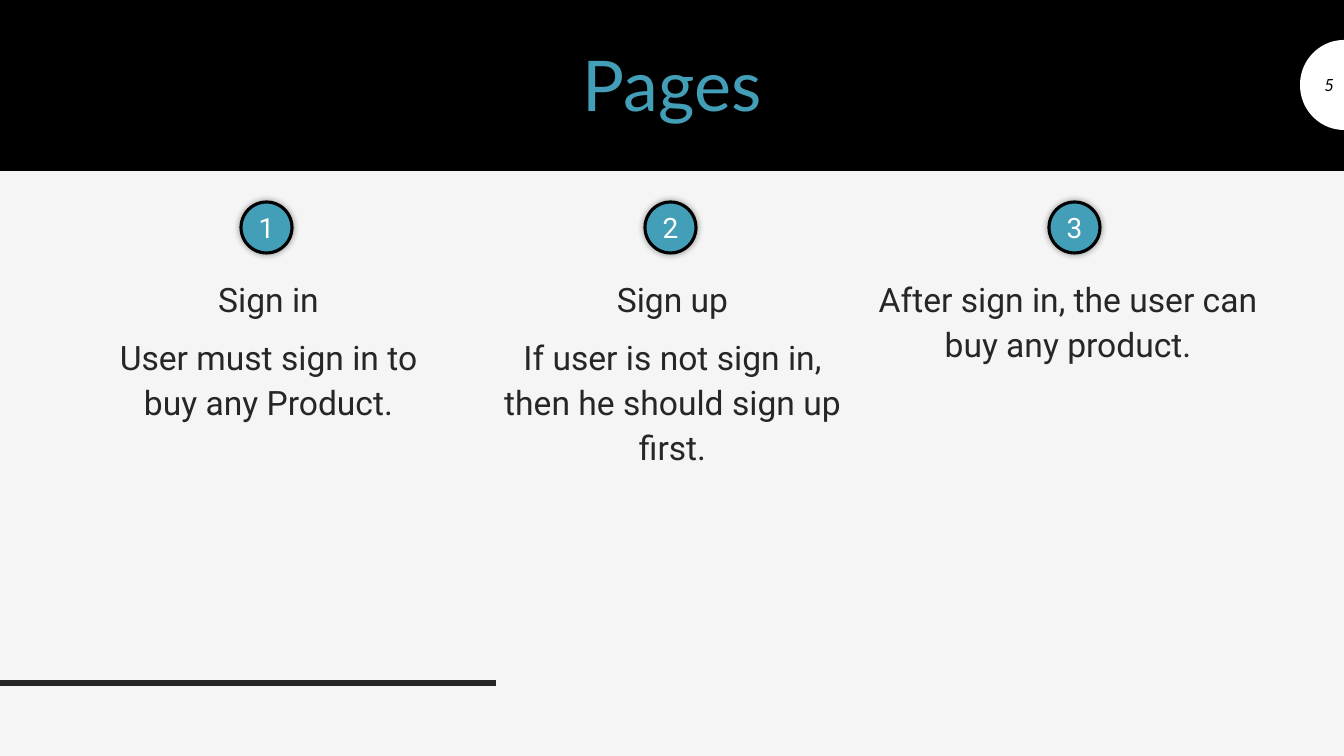
import math

from lxml import etree
from pptx import Presentation
from pptx import util as u
from pptx.dml.color import RGBColor
from pptx.enum import shapes, text
from pptx.oxml import ns

PX = 12700 * 5 / 7  # 100.8 px to the inch
WIDTH, HEIGHT = 1344, 756
BLACK, WHITE, TEAL, DARK, PALE = "000000", "FFFFFF", "439EB7", "262626", "F5F5F5"
HEADING, BODY = "Lato", "Roboto"
CENTER, RIGHT = text.PP_ALIGN.CENTER, text.PP_ALIGN.RIGHT
TOP, MIDDLE = text.MSO_ANCHOR.TOP, text.MSO_ANCHOR.MIDDLE


def px(*lengths):
    return [u.Emu(round(length * PX)) for length in lengths]


def color(value):
    return RGBColor.from_string(value)


def paint(shape, fill, line=None, width=1):
    shape.shadow.inherit = False
    shape.fill.solid()
    shape.fill.fore_color.rgb = color(fill)
    if line:
        shape.line.color.rgb = color(line)
        shape.line.width = u.Pt(width)
    else:
        shape.line.fill.background()


def add_glow(shape):
    """Soft, centred black shadow."""
    effects = shape._element.spPr.find(ns.qn("a:effectLst"))
    shadow = etree.SubElement(effects, ns.qn("a:outerShdw"),
                              blurRad=str(u.Pt(5)), dist="0", dir="0",
                              algn="ctr", rotWithShape="0")
    tint = etree.SubElement(shadow, ns.qn("a:srgbClr"), val=BLACK)
    etree.SubElement(tint, ns.qn("a:alpha"), val="40000")


def write(frame, lines, size, font, ink, align=CENTER, anchor=MIDDLE,
          spacing=1.0, before=0, italic=False):
    frame.word_wrap = True
    frame.vertical_anchor = anchor
    for index, line in enumerate(lines):
        para = frame.add_paragraph() if index else frame.paragraphs[0]
        para.alignment = align
        para.line_spacing = spacing
        if index:
            para.space_before = u.Pt(before)
        span = para.add_run()
        span.text = line
        span.font.size = u.Pt(size)
        span.font.name = font
        span.font.italic = italic
        span.font.color.rgb = color(ink)


def add_header(page, box, title):
    left, top, width, height = box
    band = page.shapes.add_shape(shapes.MSO_SHAPE.RECTANGLE, *px(*box))
    paint(band, BLACK, BLACK)
    label = page.shapes.add_textbox(
        *px(left + 84, top + 33, width - 168, height - 59))
    write(label.text_frame, [title], 50, HEADING, TEAL, spacing=0.9)


def add_page_number(page, box, number):
    """Half disc bulging to the left, with the number on it."""
    left, top, width, height = box
    angles = [math.radians(degrees) for degrees in range(90, 271, 5)]
    points = [px(left + width + width * math.cos(angle),
                 top + height / 2 + height / 2 * math.sin(angle))
              for angle in angles]
    builder = page.shapes.build_freeform(*points[0])
    builder.add_line_segments(points[1:], close=True)
    paint(builder.convert_to_shape(), WHITE)
    label = page.shapes.add_textbox(*px(left, top + 25, width, height - 50))
    write(label.text_frame, [number], 12, HEADING, BLACK, RIGHT, italic=True)


def add_step(page, box, badge_left, number, lines):
    """Numbered badge above a column of centred text."""
    left, top, width, height = box
    badge = page.shapes.add_shape(shapes.MSO_SHAPE.OVAL,
                                  *px(badge_left, top, 51, 51))
    paint(badge, TEAL, BLACK, 2.25)
    add_glow(badge)
    frame = badge.text_frame
    frame.margin_left = frame.margin_right = 0
    frame.margin_top = frame.margin_bottom = 0
    write(frame, [str(number)], 20, BODY, WHITE)
    column = page.shapes.add_textbox(*px(left, top + 67, width, height - 67))
    write(column.text_frame, lines, 24, BODY, DARK, anchor=TOP,
          spacing=1.12, before=9)


def add_footer_rule(page, box):
    left, top, width, height = box
    rule = page.shapes.add_connector(
        shapes.MSO_CONNECTOR.STRAIGHT,
        *px(left, top + height / 2, left + width, top + height / 2))
    rule.line.color.rgb = color(DARK)
    rule.line.width = u.Pt(4.5)
    etree.SubElement(rule._element.spPr, ns.qn("a:effectLst"))


def main():
    deck = Presentation()
    deck.slide_width, deck.slide_height = px(WIDTH, HEIGHT)
    page = deck.slides.add_slide(deck.slide_layouts[6])
    page.background.fill.solid()
    page.background.fill.fore_color.rgb = color(PALE)

    add_footer_rule(page, (0, 680, 496, 6))
    add_header(page, (0, 0, WIDTH, 170), "Pages")
    steps = [
        (84, 369, ["Sign in", "User must sign in to buy any Product."]),
        (488, 369, ["Sign up", "If user is not sign in, "
                    "then he should sign up first."]),
        (848, 440, ["After sign in, the user can buy any product."]),
    ]
    for index, (left, width, lines) in enumerate(steps):
        add_step(page, (left, 202, width, 320), 241 + 404 * index,
                 index + 1, lines)
    add_page_number(page, (1300, 40, 44, 90), "5")
    deck.save("out.pptx")


if __name__ == "__main__":
    main()
